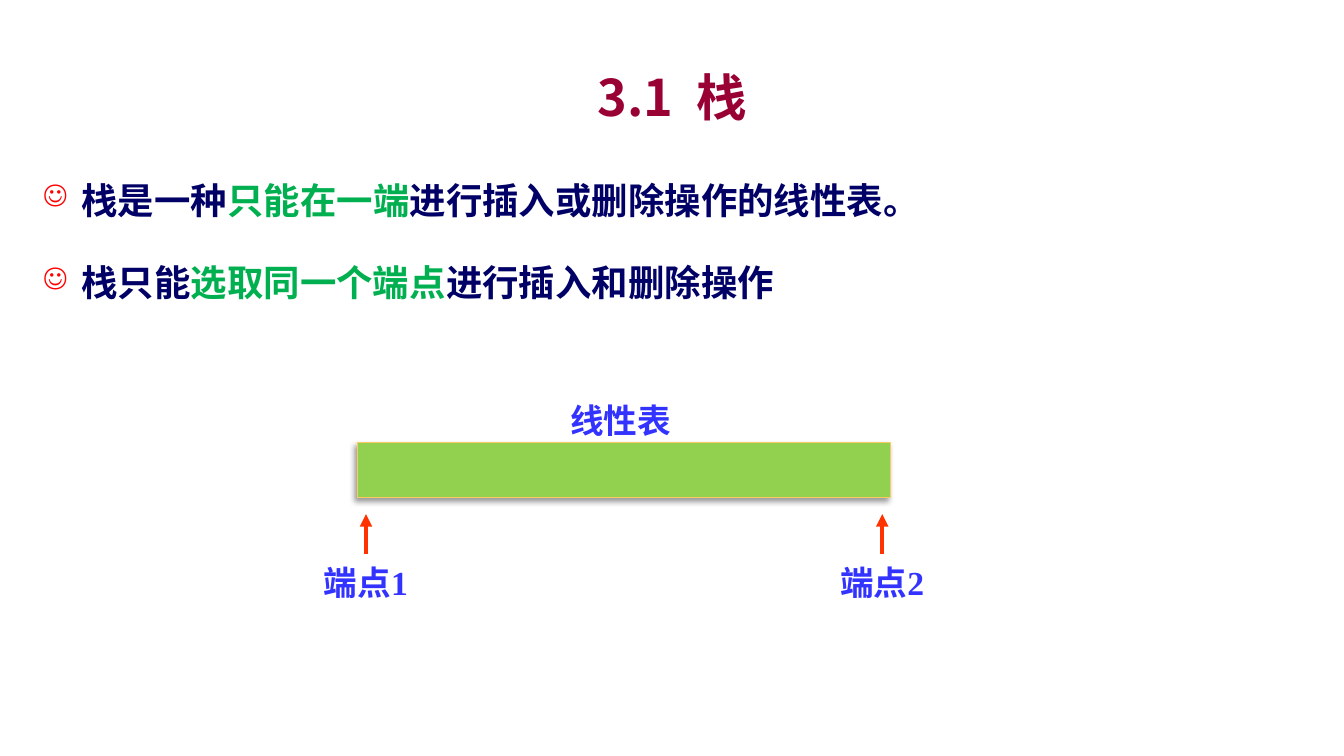
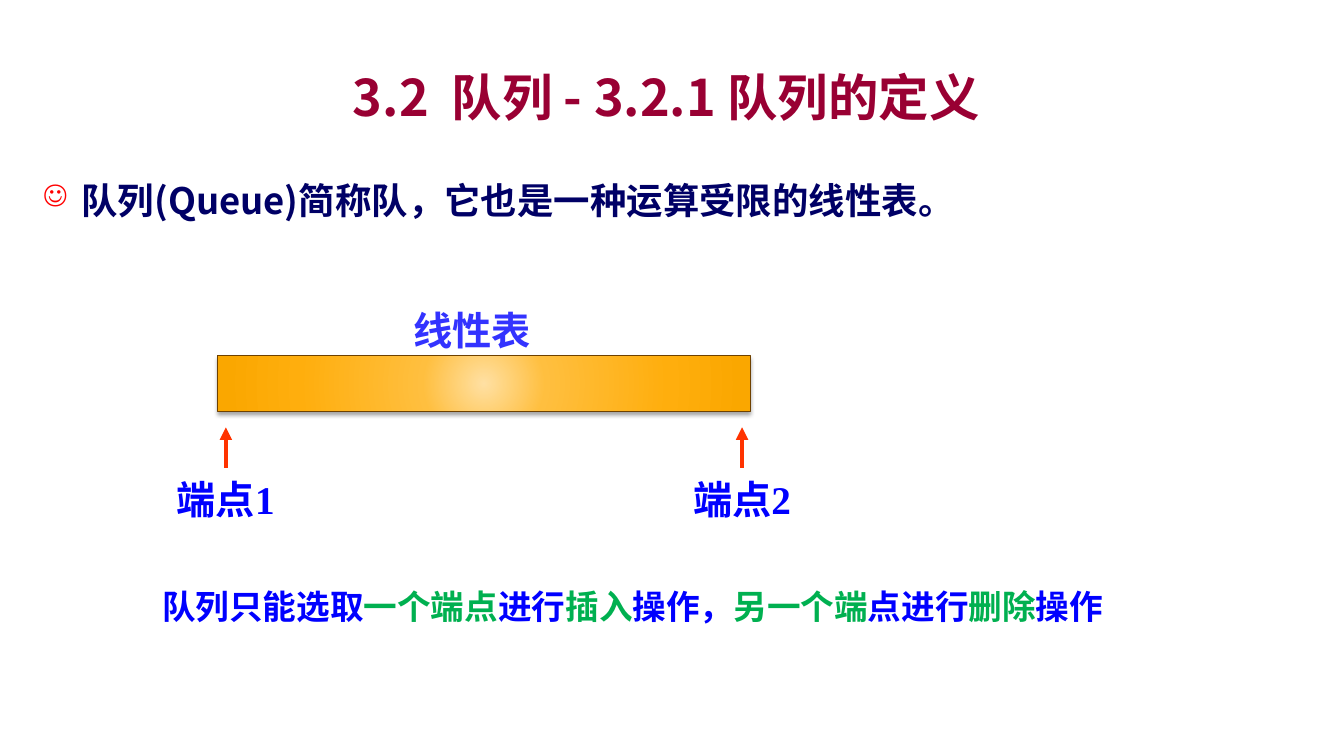
"""Build two slides that compare the stack and the queue as restricted linear lists."""
from dataclasses import dataclass

from pptx import Presentation
from pptx.dml.color import RGBColor
from pptx.enum.shapes import MSO_CONNECTOR, MSO_SHAPE
from pptx.enum.text import MSO_ANCHOR, MSO_AUTO_SIZE, PP_ALIGN
from pptx.oxml import parse_xml
from pptx.oxml.ns import nsdecls
from pptx.util import Inches, Pt


@dataclass(frozen=True)
class Theme:
    sans: str = "Noto Sans CJK SC"
    serif: str = "Times New Roman"
    title: str = "990033"
    body: str = "000066"
    accent: str = "00B050"
    bullet: str = "FF0000"
    arrow: str = "FF3300"
    violet: str = "3333FF"
    blue: str = "0000FF"
    title_size: int = 36
    body_size: int = 26
    caption_size: int = 24


theme = Theme()


def write_runs(paragraph, parts, font, size, color, **formats):
    """Set paragraph formats and add bold runs; odd-numbered parts take the accent colour."""
    for name, value in formats.items():
        setattr(paragraph, name, value)
    for index, text in enumerate(parts):
        run = paragraph.add_run()
        run.text = text
        for name, value in {"name": font, "size": Pt(size), "bold": True}.items():
            setattr(run.font, name, value)
        run.font.color.rgb = RGBColor.from_string(theme.accent if index % 2 else color)
        run.font._element.append(parse_xml(f'<a:ea {nsdecls("a")} typeface="{theme.sans}"/>'))


def add_text_box(slide, left, top, width, height, auto_size=MSO_AUTO_SIZE.SHAPE_TO_FIT_TEXT):
    """Add a wrapping text box and return its text frame."""
    box = slide.shapes.add_textbox(Inches(left), Inches(top), Inches(width), Inches(height))
    box.text_frame.word_wrap = True
    box.text_frame.auto_size = auto_size
    return box.text_frame


slide_contents = [
    {
        "title": "3.1  栈",
        "bullets": [
            ["栈是一种", "只能在一端", "进行插入或删除操作的线性表。"],
            ["栈只能", "选取同一个端点", "进行插入和删除操作"],
        ],
        "body_height": 1.92,
        "bar": (3.55, 4.39),
        "fill": "92D050",
        "line": "FDC960",
        "shadow": {"alpha": 40, "blur": 4, "distance": 3, "angle": 135},
        "name_left": 1.59,
        "label_size": 24,
        "label_height": 0.5,
        "label_color": theme.violet,
        "caption": [],
    },
    {
        "title": "3.2  队列 - 3.2.1 队列的定义 ",
        "bullets": [["队列(Queue)简称队，它也是一种运算受限的线性表。"]],
        "body_height": 0.75,
        "bar": (2.16, 3.53),
        "fill": [(0, "FFE0A3"), (23, "FFBF3F"), (69, "FFAE0D"), (97, "FAA700")],
        "line": "6E4100",
        "shadow": {"alpha": 35, "blur": 3.1, "distance": 1.8, "angle": 90},
        "name_left": 1.51,
        "label_size": 28,
        "label_height": 0.57,
        "label_color": theme.blue,
        "caption": ["队列只能选取", "一个端点", "进行", "插入", "操作，",
                    "另一个端", "点进行", "删除", "操作"],
    },
]

presentation = Presentation()
presentation.slide_width = Inches(13.33)
presentation.slide_height = Inches(7.5)

for content in slide_contents:
    slide = presentation.slides.add_slide(presentation.slide_layouts[5])

    title = slide.shapes.title
    title_place = {"left": 1, "top": 0.58, "width": 11.33, "height": 0.75}
    for name, value in title_place.items():
        setattr(title, name, Inches(value))
    title.text_frame.vertical_anchor = MSO_ANCHOR.MIDDLE
    title.text_frame.auto_size = MSO_AUTO_SIZE.NONE
    write_runs(title.text_frame.paragraphs[0], [content["title"]], theme.sans,
               theme.title_size, theme.title, alignment=PP_ALIGN.CENTER)

    body = add_text_box(slide, 0.33, 1.5, 12.67, content["body_height"], MSO_AUTO_SIZE.NONE)
    for index, parts in enumerate(content["bullets"]):
        paragraph = body.add_paragraph() if index else body.paragraphs[0]
        write_runs(paragraph, parts, theme.sans, theme.body_size, theme.body,
                   line_spacing=1.5, space_before=Pt(6), space_after=Pt(6))
        properties = paragraph._p.get_or_add_pPr()
        properties.set("marL", str(Inches(0.38)))
        properties.set("indent", str(-Inches(0.38)))
        for bullet in (
            f'<a:buClr {nsdecls("a")}><a:srgbClr val="{theme.bullet}"/></a:buClr>',
            f'<a:buSzPct {nsdecls("a")} val="80000"/>',
            f'<a:buChar {nsdecls("a")} char="☺"/>',
        ):
            properties.append(parse_xml(bullet))

    left, top = content["bar"]
    bar = slide.shapes.add_shape(MSO_SHAPE.RECTANGLE, Inches(left), Inches(top),
                                 Inches(5.28), Inches(0.55))
    bar.line.color.rgb = RGBColor.from_string(content["line"])
    bar.line.width = Pt(0.75)
    if isinstance(content["fill"], str):
        bar.fill.solid()
        bar.fill.fore_color.rgb = RGBColor.from_string(content["fill"])
    else:
        stops = "".join(f'<a:gs pos="{position * 1000}"><a:srgbClr val="{color}"/></a:gs>'
                        for position, color in content["fill"])
        bar.fill.gradient()
        gradient = bar._element.spPr.find("{*}gradFill")
        bar._element.spPr.replace(gradient, parse_xml(
            f'<a:gradFill {nsdecls("a")} rotWithShape="1"><a:gsLst>{stops}</a:gsLst>'
            '<a:path path="circle"><a:fillToRect l="50000" t="50000" r="50000" b="50000"/>'
            '</a:path></a:gradFill>'))
    shadow = content["shadow"]
    bar._element.spPr.append(parse_xml(
        f'<a:effectLst {nsdecls("a")}><a:outerShdw blurRad="{Pt(shadow["blur"])}" '
        f'dist="{Pt(shadow["distance"])}" dir="{shadow["angle"] * 60000}" rotWithShape="0">'
        f'<a:srgbClr val="000000"><a:alpha val="{shadow["alpha"] * 1000}"/></a:srgbClr>'
        '</a:outerShdw></a:effectLst>'))

    size, height = content["label_size"], content["label_height"]
    for number, offset in enumerate((0.08, 5.2), start=1):
        center = left + offset
        arrow = slide.shapes.add_connector(MSO_CONNECTOR.STRAIGHT, Inches(center),
                                           Inches(top + 1.11), Inches(center), Inches(top + 0.71))
        arrow.line.color.rgb = RGBColor.from_string(theme.arrow)
        arrow.line.width = Pt(3)
        arrow.line._get_or_add_ln().append(
            parse_xml(f'<a:tailEnd {nsdecls("a")} type="triangle"/>'))
        arrow._element.spPr.append(parse_xml(f'<a:effectLst {nsdecls("a")}/>'))
        label = add_text_box(slide, center - 0.63, top + 1.14, 1.26, height)
        write_runs(label.paragraphs[0], [f"端点{number}"], theme.serif, size,
                   content["label_color"], alignment=PP_ALIGN.CENTER)

    bar_name = add_text_box(slide, left + content["name_left"], top + 0.03 - height, 2.03, height)
    write_runs(bar_name.paragraphs[0], ["线性表"], theme.serif, size, theme.violet,
               alignment=PP_ALIGN.CENTER)

    if content["caption"]:
        caption = add_text_box(slide, 1.51, 5.75, 9.7, 0.5)
        write_runs(caption.paragraphs[0], content["caption"], theme.sans, theme.caption_size,
                   theme.blue, line_spacing=Pt(30))

presentation.save("out.pptx")
